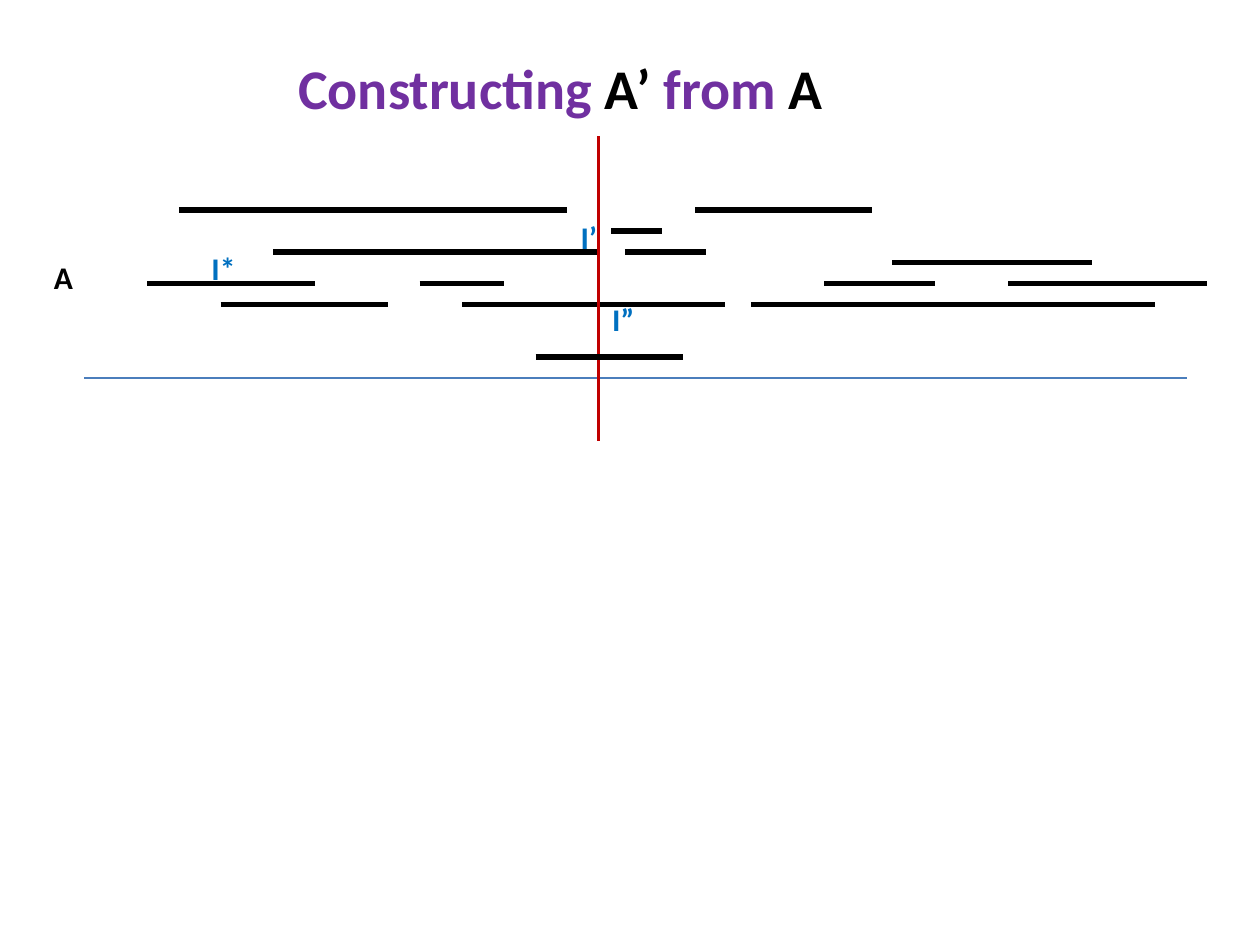
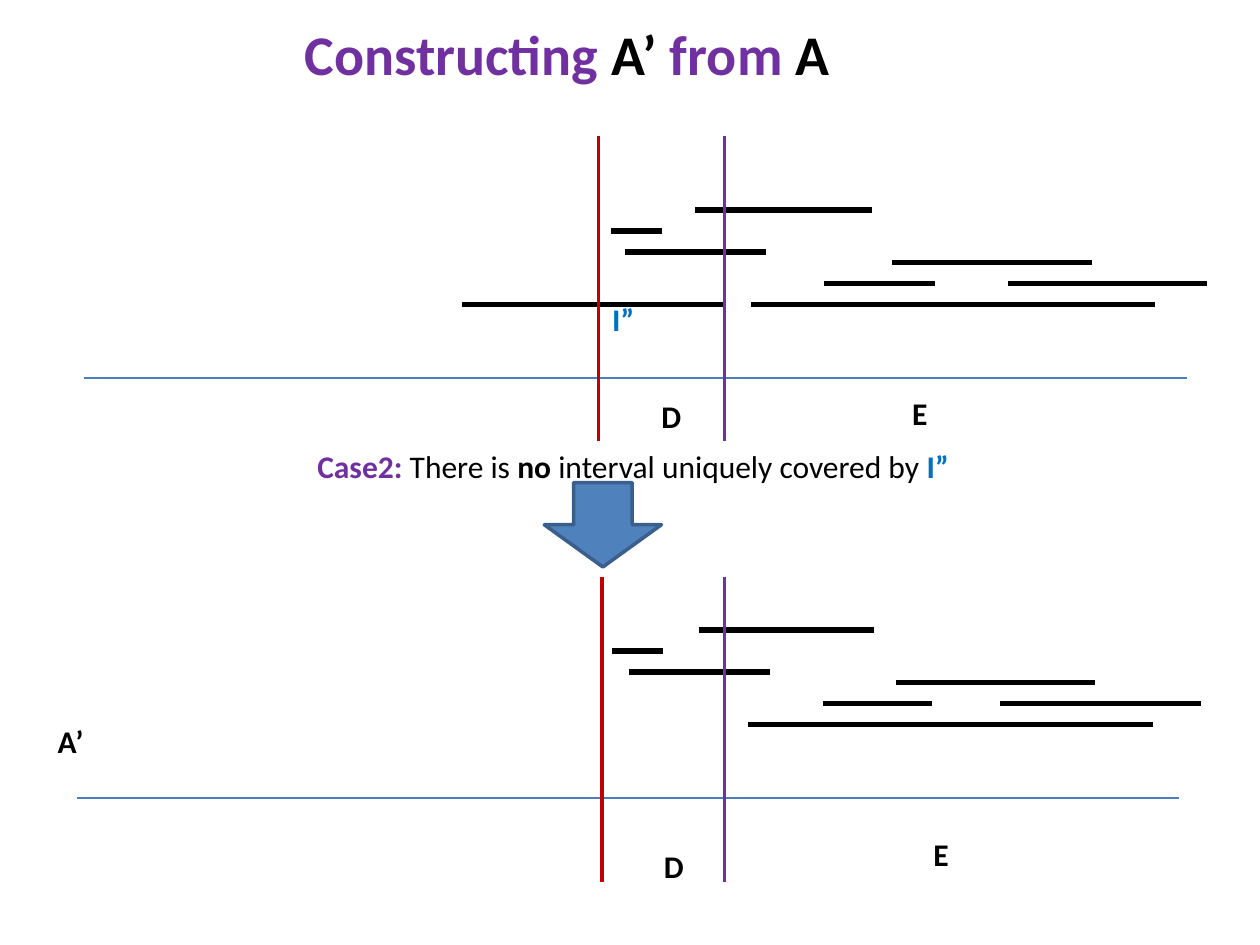
from dataclasses import dataclass

from lxml import etree
from pptx import Presentation
from pptx.dml.color import RGBColor
from pptx.enum.shapes import MSO_CONNECTOR, MSO_SHAPE
from pptx.enum.text import MSO_ANCHOR, MSO_AUTO_SIZE, PP_ALIGN
from pptx.oxml.ns import qn
from pptx.util import Inches, Pt

STRAIGHT = MSO_CONNECTOR.STRAIGHT
DOWN_ARROW = MSO_SHAPE.DOWN_ARROW
MIDDLE, TOP = MSO_ANCHOR.MIDDLE, MSO_ANCHOR.TOP
CENTER, LEFT = PP_ALIGN.CENTER, PP_ALIGN.LEFT
FIT_SHAPE, NO_FIT = MSO_AUTO_SIZE.SHAPE_TO_FIT_TEXT, MSO_AUTO_SIZE.NONE

FONT = "Calibri"
COLORS = {
    "ink": "000000",
    "purple": "7030A0",
    "blue": "0070C0",
    "cut": "C00000",
    "axis": "4B7EBC",
    "arrow": "4F81BD",
    "arrow_edge": "3A5F8C",
}
ROW = 1 / 12        # vertical grid step in inches
CUT_LENGTH = 2.42
AXIS_LENGTH = 8.75
AXIS_ROW = 36
LOWER_SHIFT = 40    # rows between the upper and lower diagram


@dataclass(frozen=True)
class Run:
    text: str
    color: str = "ink"
    bold: bool = True


@dataclass(frozen=True)
class Interval:
    start: float
    end: float
    row: int


@dataclass(frozen=True)
class Cut:
    x: float
    top: float
    color: str = "cut"


@dataclass(frozen=True)
class Axis:
    start: float
    row: int = AXIS_ROW


@dataclass(frozen=True)
class Label:
    left: float
    top: float
    width: float
    run: Run


# Content shared by the slides
TITLE = [Run("Constructing ", "purple"), Run("A’ "), Run("from ", "purple"), Run("A")]
I_SECOND = Run("I”", "blue")
I_SECOND_LABEL = Label(4.76, 2.33, 0.38, I_SECOND)
I_SECOND_INTERVAL = Interval(3.67, 5.75, 29)
UPPER_CUT = Cut(4.75, 1.08)
RIGHT_INTERVALS = [
    Interval(5.52, 6.92, 20),
    Interval(4.85, 5.25, 22),
    Interval(5.96, 9.17, 29),
    Interval(6.54, 7.42, 27),
    Interval(8, 9.58, 27),
    Interval(7.08, 8.67, 25),
]

# Solution A with the first cut
SOLUTION_A = [
    Axis(0.67),
    Interval(1.17, 2.5, 27),
    Interval(1.75, 3.08, 29),
    Interval(2.17, 4.75, 24),
    Interval(1.42, 4.5, 20),
    Interval(3.33, 4, 27),
    I_SECOND_INTERVAL,
    Interval(4.96, 5.6, 24),
    UPPER_CUT,
    *RIGHT_INTERVALS,
    Interval(4.25, 5.42, 34),
    I_SECOND_LABEL,
    Label(0.33, 2, 0.35, Run("A")),
    Label(4.51, 1.68, 0.33, Run("I’", "blue")),
    Label(1.58, 1.93, 0.39, Run("I*", "blue")),
]

# Case 2: before and after I” is removed
CASE_BEFORE = [
    Axis(0.67),
    I_SECOND_INTERVAL,
    Interval(4.96, 6.08, 24),
    UPPER_CUT,
    *RIGHT_INTERVALS,
    I_SECOND_LABEL,
    Cut(5.75, 1.08, "purple"),
    Label(5.15, 3.1, 0.36, Run("D")),
    Label(7.14, 3.08, 0.32, Run("E")),
]
CASE_AFTER = [
    Axis(0.61, AXIS_ROW + LOWER_SHIFT),
    Interval(5.55, 6.94, 20 + LOWER_SHIFT),
    Interval(4.99, 6.11, 24 + LOWER_SHIFT),
    Interval(7.11, 8.69, 25 + LOWER_SHIFT),
    Interval(5.94, 9.15, 29 + LOWER_SHIFT),
    Interval(6.53, 7.4, 27 + LOWER_SHIFT),
    Interval(7.94, 9.53, 27 + LOWER_SHIFT),
    Cut(4.78, 4.58),
    Label(0.36, 5.68, 0.41, Run("A’")),
    Interval(4.86, 5.26, 22 + LOWER_SHIFT),
    Cut(5.75, 4.58, "purple"),
    Label(5.17, 6.67, 0.36, Run("D")),
    Label(7.31, 6.58, 0.32, Run("E")),
]
CASE_TEXT = [
    Run("Case2:", "purple"),
    Run(" There is ", bold=False),
    Run("no"),
    Run(" interval uniquely covered by ", bold=False),
    I_SECOND,
]


def rgb(name: str) -> RGBColor:
    return RGBColor.from_string(COLORS[name])


def add_text(slide, runs: list[Run], left: float, top: float, width: float,
             height: float = 0.4, *, size: int = 18, align=LEFT, anchor=TOP,
             wrap: bool = False, right_inset: float = 0.1,
             bottom_inset: float = 0.05) -> None:
    box = slide.shapes.add_textbox(Inches(left), Inches(top), Inches(width), Inches(height))
    frame = box.text_frame
    frame.word_wrap = wrap
    frame.auto_size = NO_FIT if wrap else FIT_SHAPE
    frame.vertical_anchor = anchor
    frame.margin_right = Inches(right_inset)
    frame.margin_bottom = Inches(bottom_inset)
    paragraph = frame.paragraphs[0]
    paragraph.alignment = align
    for part in runs:
        run = paragraph.add_run()
        run.text = part.text
        run.font.name = FONT
        run.font.size = Pt(size)
        run.font.bold = part.bold
        run.font.color.rgb = rgb(part.color)


def add_line(slide, x1: float, y1: float, x2: float, y2: float,
             color: str, weight: float) -> None:
    line = slide.shapes.add_connector(
        STRAIGHT, Inches(x1), Inches(y1), Inches(x2), Inches(y2))
    line.line.color.rgb = rgb(color)
    line.line.width = Pt(weight)
    etree.SubElement(line._element.spPr, qn("a:effectLst"))


def draw_diagram(slide, parts: list[Axis | Interval | Cut | Label]) -> None:
    for part in parts:
        match part:
            case Axis(start, row):
                add_line(slide, start, row * ROW, start + AXIS_LENGTH, row * ROW, "axis", 1.5)
            case Interval(start, end, row):
                add_line(slide, start, row * ROW, end, row * ROW, "ink", 3)
            case Cut(x, top, color):
                add_line(slide, x, top, x, top + CUT_LENGTH, color, 2.25)
            case Label(left, top, width, run):
                add_text(slide, [run], left, top, width)


def add_titled_slide(prs, right_inset: float, bottom_inset: float):
    slide = prs.slides.add_slide(prs.slide_layouts[6])
    add_text(slide, TITLE, 0, 0.3, 9, 1.25, size=32, align=CENTER, anchor=MIDDLE,
             wrap=True, right_inset=right_inset, bottom_inset=bottom_inset)
    return slide


def add_step_arrow(slide) -> None:
    arrow = slide.shapes.add_shape(
        DOWN_ARROW, Inches(4.32), Inches(3.83), Inches(0.93), Inches(0.67))
    arrow.shadow.inherit = False
    arrow.fill.solid()
    arrow.fill.fore_color.rgb = rgb("arrow")
    arrow.line.color.rgb = rgb("arrow_edge")
    arrow.line.width = Pt(2)


def main() -> None:
    prs = Presentation()
    prs.slide_width, prs.slide_height = Inches(10), Inches(7.5)

    # Slide 1: the whole solution
    solution = add_titled_slide(prs, right_inset=0.2, bottom_inset=0.52)
    draw_diagram(solution, SOLUTION_A)

    # Slide 2: case without a uniquely covered interval
    case = add_titled_slide(prs, right_inset=0.1, bottom_inset=1.05)
    add_step_arrow(case)
    add_text(case, CASE_TEXT, 2.42, 3.5, 5.4)
    draw_diagram(case, CASE_BEFORE)
    draw_diagram(case, CASE_AFTER)

    prs.save("out.pptx")


if __name__ == "__main__":
    main()
